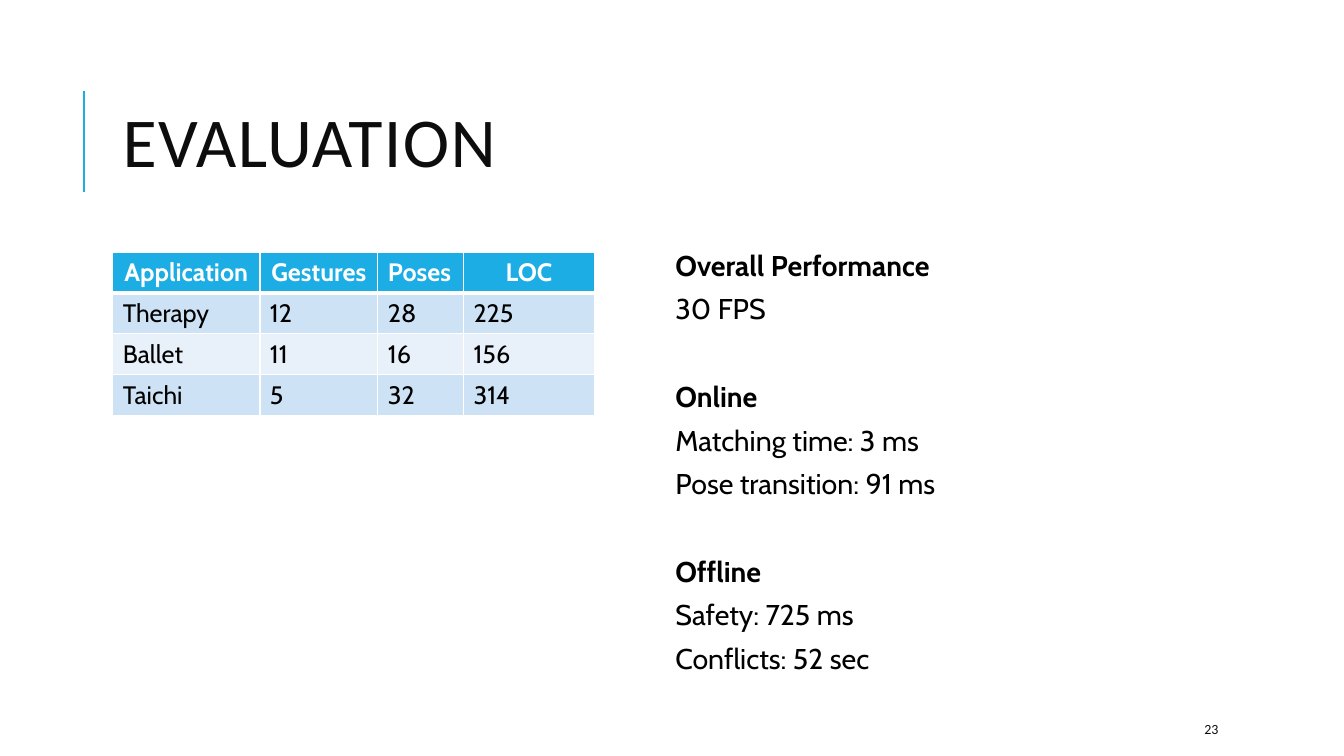
from lxml.etree import SubElement
from pptx import Presentation
from pptx.dml.color import RGBColor
from pptx.enum.shapes import MSO_CONNECTOR
from pptx.enum.text import MSO_ANCHOR, PP_ALIGN
from pptx.oxml.ns import qn
from pptx.util import Cm, Pt

BLUE = RGBColor(0x1C, 0xAD, 0xE4)
PALE = RGBColor(0xCD, 0xE3, 0xF5)
LIGHT = RGBColor(0xE8, 0xF1, 0xFA)
WHITE = RGBColor(0xFF, 0xFF, 0xFF)
BLACK = RGBColor(0, 0, 0)
INK = RGBColor(0x0D, 0x0D, 0x0D)

WIDTHS = (3.71, 2.97, 2.16, 3.3)
ROW = 1.03
ROWS = (
    ("Application", "Gestures", "Poses", "LOC"),
    ("Therapy", "12", "28", "225"),
    ("Ballet", "11", "16", "156"),
    ("Taichi", "5", "32", "314"),
)
GROUPS = (
    ("Overall Performance", "30 FPS"),
    ("Online", "Matching time: 3 ms", "Pose transition: 91 ms"),
    ("Offline", "Safety: 725 ms", "Conflicts: 52 sec"),
)


def put_text(para, text, size=18, font="Cabin", color=BLACK, bold=False,
             align=PP_ALIGN.LEFT, line=None, before=0, after=0, track=0):
    """Write one formatted run into a paragraph."""
    para.alignment = align
    para.space_before, para.space_after = Pt(before), Pt(after)
    if line:
        para.line_spacing = line
    run = para.add_run()
    run.text = text
    run.font.size, run.font.name, run.font.bold = Pt(size), font, bold
    run.font.color.rgb = color
    if track:
        run._r.get_or_add_rPr().set("spc", str(track * 100))


def add_box(slide, left, top, width, height, anchor=MSO_ANCHOR.MIDDLE):
    """Add a wrapping text box and return its frame."""
    box = slide.shapes.add_textbox(Cm(left), Cm(top), Cm(width), Cm(height))
    frame = box.text_frame
    frame.word_wrap = True
    frame.vertical_anchor = anchor
    return frame


def add_rule(slide, left, top, end):
    """Draw the upright accent line beside the title."""
    rule = slide.shapes.add_connector(
        MSO_CONNECTOR.STRAIGHT, Cm(left), Cm(end), Cm(left), Cm(top))
    rule.line.color.rgb = BLUE
    rule.line.width = Pt(1.5)
    SubElement(rule._element.spPr, qn("a:effectLst"))


def set_edge(cell, side, width):
    """Give one side of a cell a white border."""
    edge = SubElement(cell._tc.get_or_add_tcPr(), qn(f"a:ln{side}"),
                      w=str(Pt(width)))
    fill = SubElement(edge, qn("a:solidFill"))
    SubElement(fill, qn("a:srgbClr"), val=str(WHITE))


def add_grid(slide, left, top):
    """Add the table of applications."""
    grid = slide.shapes.add_table(
        len(ROWS), len(WIDTHS), Cm(left), Cm(top),
        Cm(sum(WIDTHS)), Cm(ROW * len(ROWS))).table
    for col, width in zip(grid.columns, WIDTHS):
        col.width = Cm(width)
    for r, row in enumerate(ROWS):
        grid.rows[r].height = Cm(ROW)
        head = r == 0
        for c, text in enumerate(row):
            cell = grid.cell(r, c)
            for side in "LRTB":
                thick = (r, side) in ((0, "B"), (1, "T"))
                set_edge(cell, side, 3 if thick else 1)
            cell.fill.solid()
            cell.fill.fore_color.rgb = BLUE if head else PALE if r % 2 else LIGHT
            mid = head and text != "Poses"
            put_text(cell.text_frame.paragraphs[0], text, bold=head,
                     color=WHITE if head else BLACK,
                     align=PP_ALIGN.CENTER if mid else PP_ALIGN.LEFT)


def add_facts(slide, left, top, width, height):
    """List the groups of timings under bold headings."""
    frame = add_box(slide, left, top, width, height, MSO_ANCHOR.TOP)
    frame.margin_left = Cm(0.38)
    frame.margin_top = frame.margin_right = frame.margin_bottom = Cm(0.13)
    for g, group in enumerate(GROUPS):
        for i, text in enumerate(group):
            first = g == i == 0
            para = frame.paragraphs[0] if first else frame.add_paragraph()
            gap = 0 if first else 12 if i else 43.4
            put_text(para, text, size=20.4, bold=i == 0, line=0.7,
                     before=gap, after=2)


def main():
    """Build the evaluation slide."""
    deck = Presentation()
    deck.slide_width, deck.slide_height = Cm(33.87), Cm(19.05)
    slide = deck.slides.add_slide(deck.slide_layouts[6])
    add_rule(slide, 2.11, 2.29, 4.83)
    title = add_box(slide, 2.84, 1.63, 27, 4.17)
    put_text(title.paragraphs[0], "EVALUATION", size=50, font="Calibri",
             color=INK, line=0.8, track=1)
    add_facts(slide, 16.64, 6.35, 13.21, 11.18)
    add_grid(slide, 2.84, 6.35)
    page = add_box(slide, 30.1, 17.98, 2.69, 0.76)
    put_text(page.paragraphs[0], "23", size=10, font="Calibri", color=INK)
    deck.save("out.pptx")


if __name__ == "__main__":
    main()
